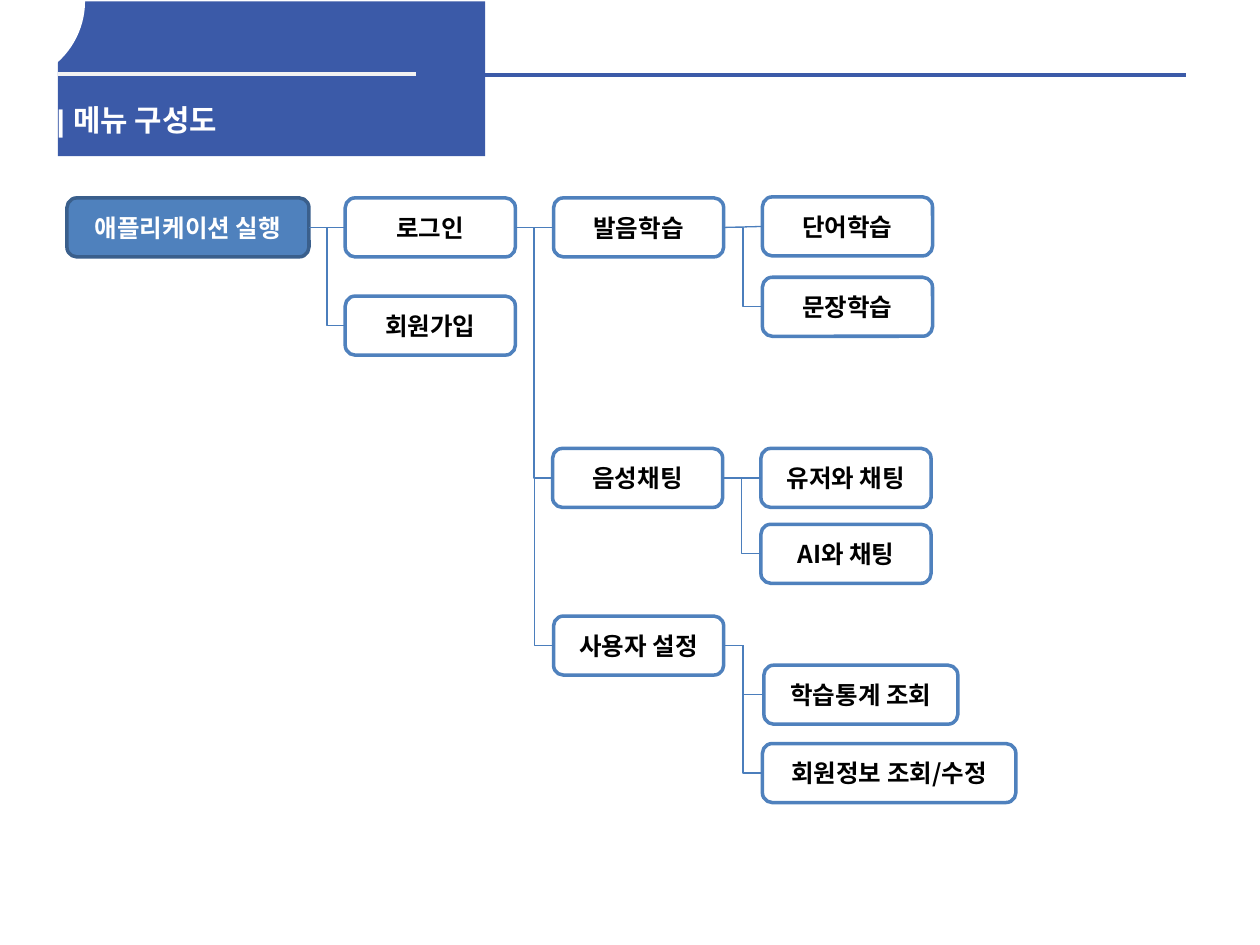
from lxml.etree import SubElement
from pptx import Presentation
from pptx.dml.color import RGBColor
from pptx.enum.shapes import MSO_CONNECTOR, MSO_SHAPE
from pptx.enum.text import MSO_ANCHOR, PP_ALIGN
from pptx.oxml.ns import qn
from pptx.util import Cm, Pt

COLORS = {name: RGBColor.from_string(value) for name, value in {
    "banner": "3B5AA8", "rule": "F2F2F2", "white": "FFFFFF", "black": "000000",
    "box": "4F81BD", "root_line": "3A5F8C", "link": "4B7EBC",
}.items()}
BOX_FONT = "Noto Sans CJK KR"


def add_block(kind, left, top, width, height, fill, line=None):
    shape = slide.shapes.add_shape(kind, Cm(left), Cm(top), Cm(width), Cm(height))
    shape.shadow.inherit = False
    shape.fill.solid()
    shape.fill.fore_color.rgb = COLORS[fill]
    if line:
        shape.line.color.rgb = COLORS[line]
        shape.line.width = Pt(2)
    else:
        shape.line.fill.background()
    return shape


def add_line(kind, start, end, color, width):
    points = [Cm(value) for value in (*start, *end)]
    connector = slide.shapes.add_connector(kind, *points)
    connector.line.color.rgb = COLORS[color]
    connector.line.width = Pt(width)
    SubElement(connector._element.spPr, qn("a:effectLst"))
    return connector


presentation = Presentation()
presentation.slide_width, presentation.slide_height = Cm(25.4), Cm(19.05)
slide = presentation.slides.add_slide(presentation.slide_layouts[5])

# Banner with its two rules
add_block(MSO_SHAPE.RECTANGLE, 1.17, 0.03, 8.61, 3.12, "banner")
add_line(MSO_CONNECTOR.STRAIGHT, (1.17, 1.5), (8.38, 1.5), "rule", 2.25)
add_line(MSO_CONNECTOR.STRAIGHT, (9.09, 1.52), (23.9, 1.52), "banner", 2.25)

# Title, brought in front of the banner
title = slide.shapes.title
title.left, title.top, title.width, title.height = Cm(0.89), Cm(1.93), Cm(8.2), Cm(0.76)
title.text_frame.vertical_anchor = MSO_ANCHOR.TOP
title.text_frame.word_wrap = True
paragraph = title.text_frame.paragraphs[0]
paragraph.alignment = PP_ALIGN.LEFT
run = paragraph.add_run()
run.text = "| 메뉴 구성도"
run.font.name, run.font.size, run.font.bold = "Arial", Pt(17), True
run.font.color.rgb = COLORS["white"]
slide.shapes._spTree.append(title._element)

# Rounded cut in the banner corner
arc = add_block(MSO_SHAPE.BLOCK_ARC, -1.6, -1.6, 3.28, 3.25, "white", "white")
arc.adjustments[0] = 161.59 * 0.6  # degrees to adjustment units
arc.adjustments[1] = 0
arc.adjustments[2] = 0.25
arc._element.spPr.get_or_add_xfrm().set("flipV", "1")

# Menu boxes: text, left, top, width
menu = [
    ("애플리케이션 실행", 1.35, 3.99, 4.88),
    ("로그인", 6.96, 3.99, 3.43),
    ("회원가입", 6.96, 5.97, 3.43),
    ("발음학습", 11.16, 3.99, 3.43),
    ("음성채팅", 11.14, 9.04, 3.43),
    ("사용자 설정", 11.16, 12.42, 3.43),
    ("단어학습", 15.37, 3.97, 3.43),
    ("문장학습", 15.37, 5.59, 3.43),
    ("유저와 채팅", 15.34, 9.04, 3.43),
    ("AI와 채팅", 15.34, 10.57, 3.43),
    ("학습통계 조회", 15.4, 13.41, 3.91),
    ("회원정보 조회/수정", 15.37, 14.99, 5.11),
]
boxes = {}
for text, left, top, width in menu:
    is_root = not boxes
    fill, line, ink = ("box", "root_line", "white") if is_root else ("white", "box", "black")
    box = add_block(MSO_SHAPE.ROUNDED_RECTANGLE, left, top, width, 1.19, fill, line)
    box.text_frame.vertical_anchor = MSO_ANCHOR.MIDDLE
    paragraph = box.text_frame.paragraphs[0]
    paragraph.alignment = PP_ALIGN.CENTER
    run = paragraph.add_run()
    run.text = text
    run.font.name, run.font.size, run.font.bold = BOX_FONT, Pt(14), True
    run.font.color.rgb = COLORS[ink]
    SubElement(run.font._element, qn("a:ea")).set("typeface", BOX_FONT)
    boxes[text] = box

# Links from the right side of a parent to the left side of each child
children = {
    "애플리케이션 실행": ["로그인", "회원가입"],
    "로그인": ["발음학습", "음성채팅", "사용자 설정"],
    "발음학습": ["단어학습", "문장학습"],
    "음성채팅": ["유저와 채팅", "AI와 채팅"],
    "사용자 설정": ["학습통계 조회", "회원정보 조회/수정"],
}
for parent, names in children.items():
    for name in names:
        is_level = abs(boxes[name].top - boxes[parent].top) < Cm(0.1)
        kind = MSO_CONNECTOR.STRAIGHT if is_level else MSO_CONNECTOR.ELBOW
        connector = add_line(kind, (0, 0), (1, 1), "link", 0.75)
        connector.begin_connect(boxes[parent], 3)
        connector.end_connect(boxes[name], 1)

presentation.save("out.pptx")
